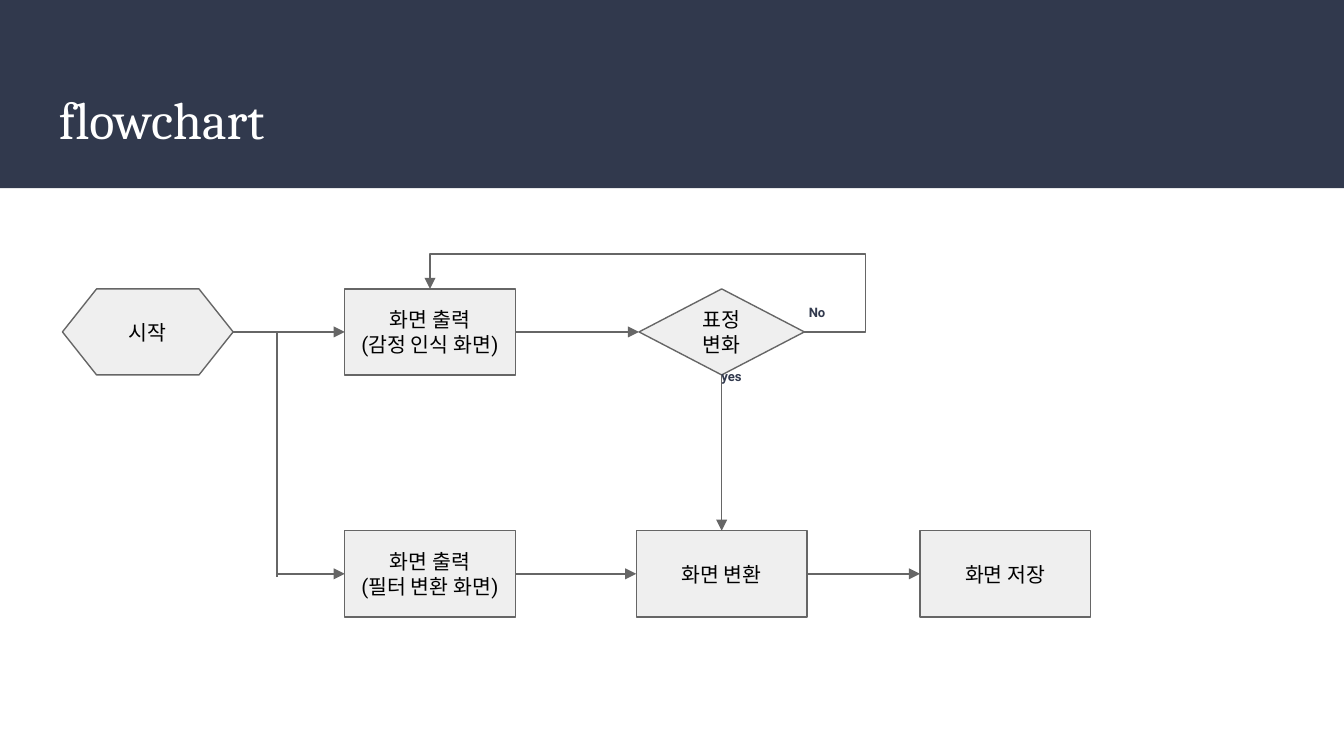
from lxml import etree
from pptx import Presentation
from pptx import util as u
from pptx.dml.color import RGBColor
from pptx.enum import shapes, text
from pptx.oxml.ns import qn

# Content: name -> (kind, lines, column, row)
NODES = {
    "start": ("prepare", ["시작"], "start", "top"),
    "emotion": ("process", ["화면 출력", "(감정 인식 화면)"], "output", "top"),
    "filter": ("process", ["화면 출력", "(필터 변환 화면)"], "output", "bottom"),
    "convert": ("process", ["화면 변환"], "change", "bottom"),
    "decision": ("decide", ["표정변화"], "change", "top"),
    "save": ("process", ["화면 저장"], "save", "bottom"),
}
TOP, LEFT, BOTTOM, RIGHT = range(4)
ARROWS = [
    ("start", RIGHT, "emotion", LEFT),
    ("emotion", RIGHT, "decision", LEFT),
    ("decision", BOTTOM, "convert", TOP),
    ("filter", RIGHT, "convert", LEFT),
    ("convert", RIGHT, "save", LEFT),
]
LABELS = [("yes", 5.27, 2.68), ("No", 5.92, 2.21)]

THEME = {
    "navy": "31394D", "white": "FFFFFF", "black": "000000",
    "node": "EFEFEF", "line": "666666",
    "title_font": "Cambria", "font": "Roboto",
    "title_size": 28, "node_size": 11, "label_size": 7, "line_width": 0.75,
}

# Layout: column centres, row middles and node sizes
SLIDE_WIDTH = 10
COLUMNS = {"start": 1.1, "output": 3.2, "change": 5.37, "save": 7.48}
ROWS = {"top": 2.47, "bottom": 4.27}
HEIGHT = 0.64
KINDS = {
    "prepare": (shapes.MSO_SHAPE.FLOWCHART_PREPARATION, 1.27),
    "process": (shapes.MSO_SHAPE.FLOWCHART_PROCESS, 1.27),
    "decide": (shapes.MSO_SHAPE.DIAMOND, 1.23),
}
BRANCH_X, LOOP_X, LOOP_Y = 2.06, 6.44, 1.89

deck = Presentation()
deck.slide_width = u.Inches(SLIDE_WIDTH)
deck.slide_height = u.Inches(SLIDE_WIDTH * 9 / 16)
page = deck.slides.add_slide(deck.slide_layouts[6])


def color(name):
    return RGBColor.from_string(THEME[name])


def write(box, lines, size, ink, font="font", bold=False, align=text.PP_ALIGN.LEFT,
          anchor=text.MSO_ANCHOR.TOP):
    frame = box.text_frame
    frame.word_wrap = True
    frame.vertical_anchor = anchor
    frame.margin_left = frame.margin_right = u.Inches(0.1)
    frame.margin_top = frame.margin_bottom = u.Inches(0.1)
    frame.text = "\n".join(lines)
    for para in frame.paragraphs:
        para.alignment = align
        for span in para.runs:
            span.font.name = THEME[font]
            span.font.size = u.Pt(THEME[size])
            span.font.bold = bold
            span.font.color.rgb = color(ink)


def add_box(kind, left, top, width, height, fill, line=None):
    box = page.shapes.add_shape(kind, *map(u.Inches, (left, top, width, height)))
    box.shadow.inherit = False
    box.fill.solid()
    box.fill.fore_color.rgb = color(fill)
    if line:
        box.line.color.rgb = color(line)
        box.line.width = u.Pt(THEME["line_width"])
    else:
        box.line.fill.background()
    return box


def add_label(left, top, width, height, words, *style, **options):
    box = page.shapes.add_textbox(*map(u.Inches, (left, top, width, height)))
    write(box, [words], *style, **options)
    return box


def add_line(start=(0, 0), end=(0, 0), arrow=True, preset=None, bends=()):
    kind = shapes.MSO_CONNECTOR.ELBOW if preset else shapes.MSO_CONNECTOR.STRAIGHT
    line = page.shapes.add_connector(kind, *map(u.Inches, (*start, *end)))
    line.line.color.rgb = color("line")
    line.line.width = u.Pt(THEME["line_width"])
    properties = line._element.spPr
    if arrow:
        etree.SubElement(properties.find(qn("a:ln")), qn("a:tailEnd"), type="triangle")
    etree.SubElement(properties, qn("a:effectLst"))
    if preset:
        geometry = properties.find(qn("a:prstGeom"))
        geometry.set("prst", preset)
        guides = geometry.find(qn("a:avLst"))
        for number, bend in enumerate(bends, 1):
            etree.SubElement(guides, qn("a:gd"), name=f"adj{number}",
                             fmla=f"val {round(bend * 100000)}")
    return line


# Header
add_box(shapes.MSO_SHAPE.RECTANGLE, 0, 0, SLIDE_WIDTH, 1.4, "navy")
add_label(0.34, 0.55, 9.32, 0.68, "flowchart", "title_size", "white", font="title_font")

# Flowchart nodes
nodes = {}
for name, (kind, lines, column, row) in NODES.items():
    preset, width = KINDS[kind]
    nodes[name] = add_box(preset, COLUMNS[column] - width / 2, ROWS[row] - HEIGHT / 2,
                          width, HEIGHT, "node", "line")
    write(nodes[name], lines, "node_size", "black", align=text.PP_ALIGN.CENTER,
          anchor=text.MSO_ANCHOR.MIDDLE)

# Straight arrows between nodes
for source, source_side, target, target_side in ARROWS:
    arrow = add_line()
    arrow.begin_connect(nodes[source], source_side)
    arrow.end_connect(nodes[target], target_side)

# Branch from the start to the filter screen
start_right = COLUMNS["start"] + KINDS["prepare"][1] / 2
add_line((start_right, ROWS["top"]), (BRANCH_X, ROWS["bottom"] + 0.02), arrow=False,
         preset="bentConnector2")
branch = add_line((BRANCH_X + 0.01, ROWS["bottom"]), (2.57, ROWS["bottom"]))
branch.end_connect(nodes["filter"], LEFT)

# Loop from the decision back to the emotion screen
loop_start = (COLUMNS["change"] + KINDS["decide"][1] / 2, ROWS["top"])
loop_end = (COLUMNS["output"], ROWS["top"] - HEIGHT / 2)
add_line(loop_start, loop_end, preset="bentConnector4", bends=(
    (LOOP_X - loop_start[0]) / (loop_end[0] - loop_start[0]),
    (LOOP_Y - loop_start[1]) / (loop_end[1] - loop_start[1])))

# Decision labels
for words, left, top in LABELS:
    label = add_label(left, top, 1.54, 0.25, words, "label_size", "navy", bold=True)
    label.text_frame.auto_size = text.MSO_AUTO_SIZE.SHAPE_TO_FIT_TEXT

deck.save("out.pptx")
